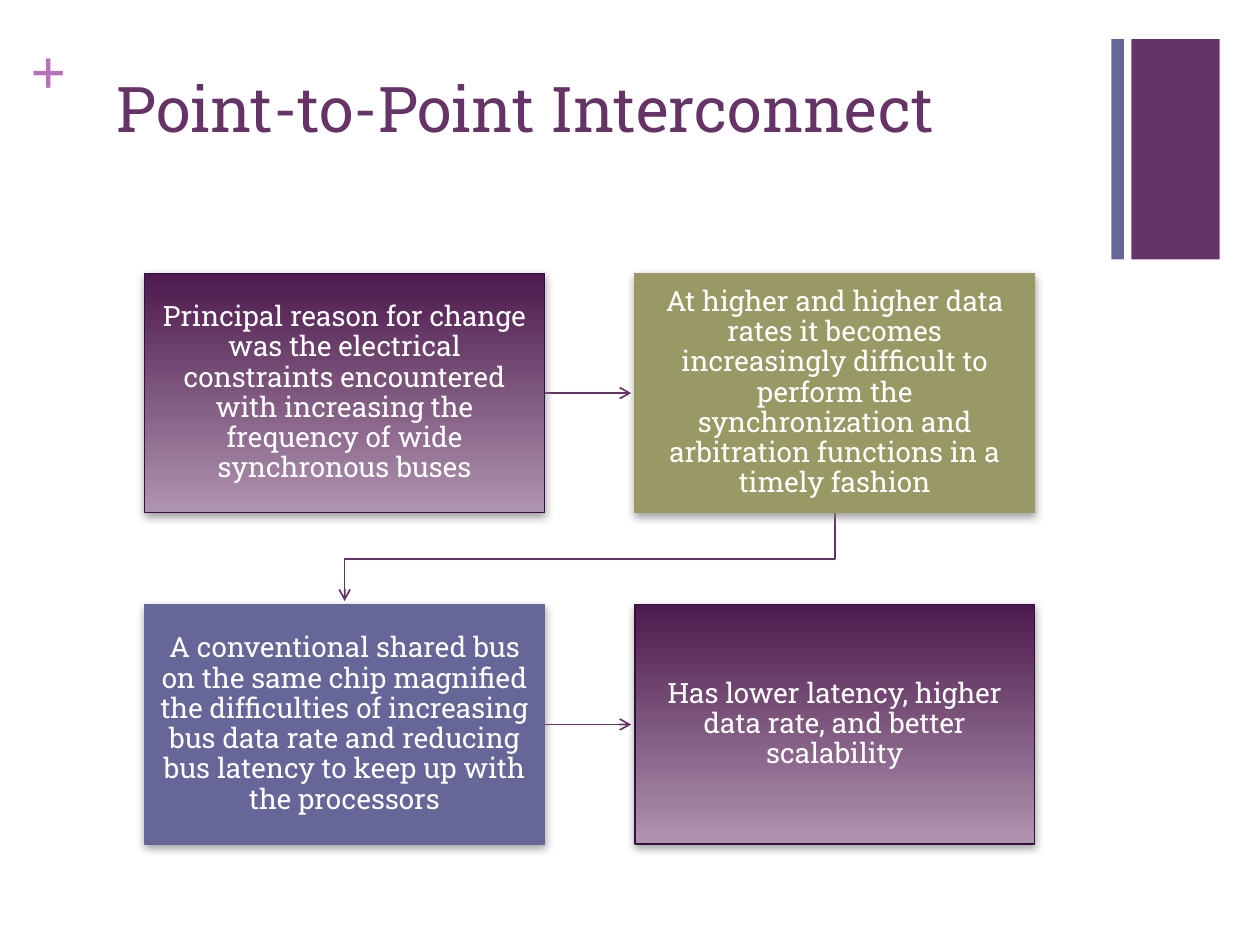
import dataclasses
import typing

import lxml.etree
import pptx
import pptx.dml.color
import pptx.enum.dml
import pptx.enum.shapes
import pptx.enum.text
import pptx.oxml.ns
import pptx.util

RGB = pptx.dml.color.RGBColor
PLUM = RGB(0x66, 0x33, 0x66)
SLATE = RGB(0x66, 0x66, 0x99)
OLIVE = RGB(0x99, 0x99, 0x66)
ORCHID = RGB(0xB8, 0x70, 0xB8)
GRAD_TOP = RGB(0x4D, 0x1A, 0x4D)
GRAD_BOTTOM = RGB(0xAF, 0x94, 0xAF)
GRAD_EDGE = RGB(0x33, 0x0F, 0x42)
SHADOW = RGB(0x80, 0x80, 0x80)
WHITE = RGB(0xFF, 0xFF, 0xFF)

# Slide size and the 2 x 2 grid of steps, in inches
WIDTH, HEIGHT = 10, 7.5
LEFT, TOP = 1.15, 2.17
BOX_W, BOX_H = 3.17, 1.9
COL_STEP, ROW_STEP = 3.89, 2.63
ARROW_GAP = 0.03

Point = tuple[float, float]
inch = pptx.util.Inches
Pt = pptx.util.Pt
FONT = "Roboto Slab"
INSETS = ("margin_left", "margin_top", "margin_right", "margin_bottom")


@dataclasses.dataclass
class Step:
    col: int
    row: int
    text: str
    fill: typing.Optional[RGB] = None  # None means the plum gradient

    @property
    def x(self) -> float:
        return LEFT + self.col * COL_STEP

    @property
    def y(self) -> float:
        return TOP + self.row * ROW_STEP


@dataclasses.dataclass
class Bar:
    x: float
    width: float
    fill: RGB


STEPS = [
    Step(0, 0, "Principal reason for change was the electrical constraints "
               "encountered with increasing the frequency of wide synchronous buses"),
    Step(1, 0, "At higher and higher data rates it becomes increasingly difficult "
               "to perform the synchronization and arbitration functions in a "
               "timely fashion", OLIVE),
    Step(0, 1, "A conventional shared bus on the same chip magnified the "
               "difficulties of increasing bus data rate and reducing bus latency "
               "to keep up with the processors", SLATE),
    Step(1, 1, "Has lower latency, higher data rate, and better scalability"),
]
BARS = [Bar(8.98, 0.7, PLUM), Bar(8.82, 0.1, SLATE)]


def set_all(obj: typing.Any, values: dict[str, typing.Any]) -> None:
    for name, value in values.items():
        setattr(obj, name, value)


def write(sp, text: str, inset: Point, para: dict, font: dict, color: RGB) -> None:
    tf = sp.text_frame
    tf.word_wrap = True
    set_all(tf, {side: inch(inset[i % 2]) for i, side in enumerate(INSETS)})
    p = tf.paragraphs[0]
    set_all(p, para)
    r = p.add_run()
    r.text = text
    set_all(r.font, font)
    r.font.color.rgb = color


def add_effects(sp, shadow: bool) -> None:
    """Replace the theme effects by a soft shadow, or by nothing."""
    qn = pptx.oxml.ns.qn
    sub = lxml.etree.SubElement
    effects = sub(sp._element.spPr, qn("a:effectLst"))
    if shadow:
        outer = sub(effects, qn("a:outerShdw"), blurRad=str(Pt(5)), dist=str(Pt(2)),
                    dir="5400000", algn="ctr", rotWithShape="0")
        color = sub(outer, qn("a:srgbClr"), val=str(SHADOW))
        sub(color, qn("a:alpha"), val="75000")


def draw_bar(s, bar: Bar) -> None:
    sp = s.shapes.add_shape(pptx.enum.shapes.MSO_SHAPE.RECTANGLE, inch(bar.x),
                            inch(0.31), inch(bar.width), inch(1.75))
    sp.shadow.inherit = False
    sp.fill.solid()
    sp.fill.fore_color.rgb = bar.fill
    sp.line.fill.background()


def draw_label(s, text: str, box: tuple, inset: Point, font: dict, color: RGB) -> None:
    sp = s.shapes.add_textbox(*map(inch, box))
    write(sp, text, inset, {}, font, color)


def draw_step(s, step: Step) -> None:
    sp = s.shapes.add_shape(pptx.enum.shapes.MSO_SHAPE.RECTANGLE, inch(step.x),
                            inch(step.y), inch(BOX_W), inch(BOX_H))
    if step.fill is None:
        sp.fill.gradient()
        sp.fill.gradient_angle = 270
        for stop, color in zip(sp.fill.gradient_stops, (GRAD_TOP, GRAD_BOTTOM)):
            stop.color.rgb = color
    else:
        sp.fill.solid()
        sp.fill.fore_color.rgb = step.fill
    sp.line.color.rgb = step.fill or GRAD_EDGE
    sp.line.width = Pt(0.75)
    add_effects(sp, shadow=True)
    sp.text_frame.vertical_anchor = pptx.enum.text.MSO_ANCHOR.MIDDLE
    para = {"alignment": pptx.enum.text.PP_ALIGN.CENTER,
            "line_spacing": 0.9, "space_after": Pt(5.6)}
    write(sp, step.text, (0.12, 0.12), para, {"name": FONT, "size": Pt(16)}, WHITE)


def draw_arrow(s, points: list[Point]) -> None:
    """Two points make a straight connector, more make an open elbow."""
    pts = [(inch(x), inch(y)) for x, y in points]
    if len(pts) == 2:
        sp = s.shapes.add_connector(pptx.enum.shapes.MSO_CONNECTOR.STRAIGHT,
                                    *pts[0], *pts[1])
    else:
        builder = s.shapes.build_freeform(*pts[0])
        builder.add_line_segments(pts[1:], close=False)
        sp = builder.convert_to_shape()
        sp.fill.background()
    sp.line.color.rgb = PLUM
    sp.line.width = Pt(1)
    lxml.etree.SubElement(sp.line._get_or_add_ln(), pptx.oxml.ns.qn("a:tailEnd"),
                          type="arrow")
    add_effects(sp, shadow=False)


def main() -> None:
    prs = pptx.Presentation()
    set_all(prs, {"slide_width": inch(WIDTH), "slide_height": inch(HEIGHT)})
    s = prs.slides.add_slide(prs.slide_layouts[6])

    # Corner decoration and title
    for bar in BARS:
        draw_bar(s, bar)
    draw_label(s, "+", (0.24, 0.25, 0.29, 0.61), (0, 0),
               {"name": "Times New Roman", "size": Pt(36), "bold": True}, ORCHID)
    draw_label(s, "Point-to-Point Interconnect", (0.83, 0.5, 8.26, 1.22),
               (0.1, 0.05), {"name": FONT, "size": Pt(36)}, PLUM)

    # Arrows along each row, then the elbow from the first row to the second
    for left, right in (STEPS[:2], STEPS[2:]):
        y = left.y + BOX_H / 2
        draw_arrow(s, [(left.x + BOX_W, y), (right.x - ARROW_GAP, y)])
    start, end = STEPS[1], STEPS[2]
    x1, x2 = start.x + BOX_W / 2, end.x + BOX_W / 2
    y1, y2 = start.y + BOX_H, end.y
    middle = (y1 + y2) / 2
    draw_arrow(s, [(x1, y1), (x1, middle), (x2, middle), (x2, y2 - ARROW_GAP)])

    # Steps
    for step in STEPS:
        draw_step(s, step)

    prs.save("out.pptx")


if __name__ == "__main__":
    main()
